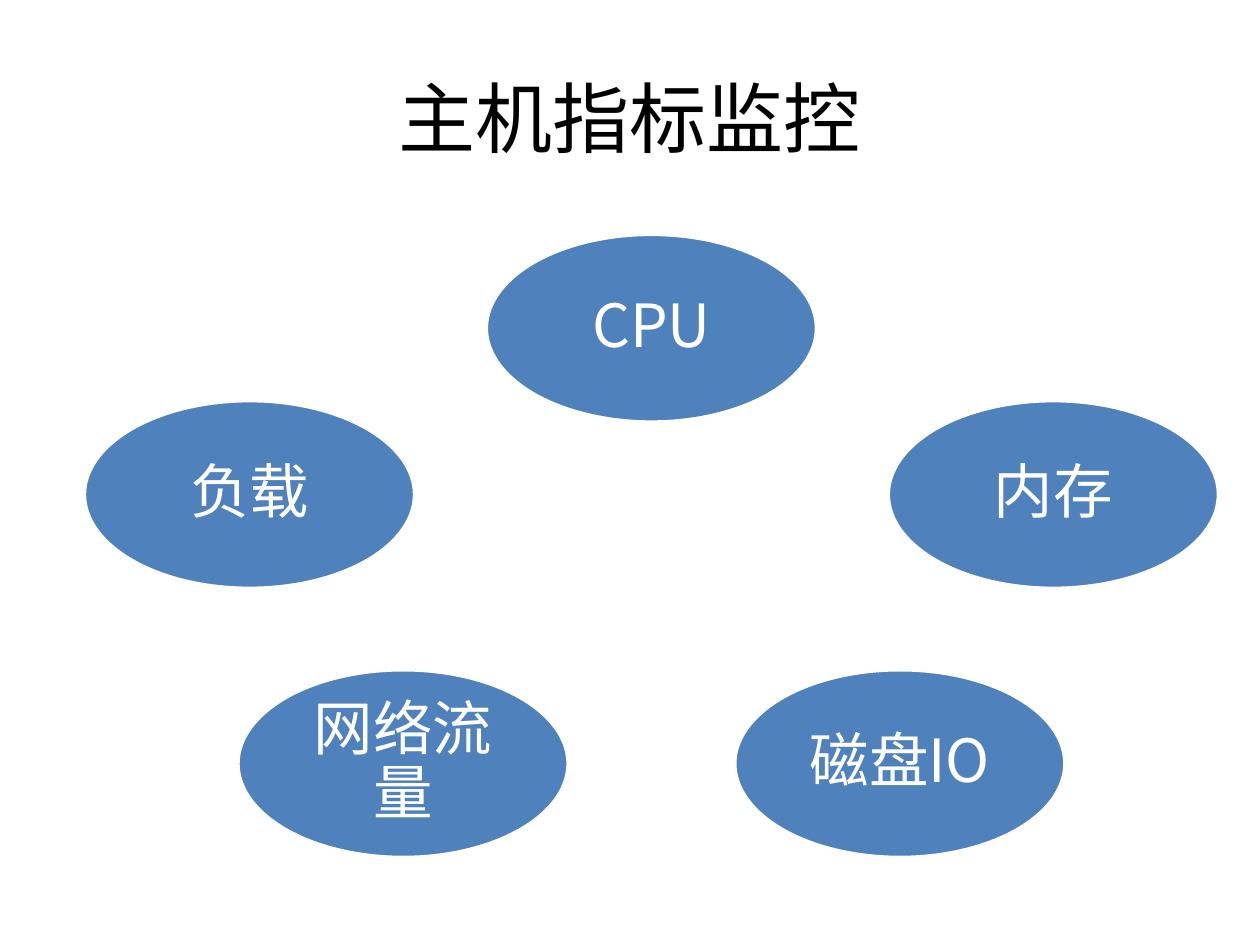
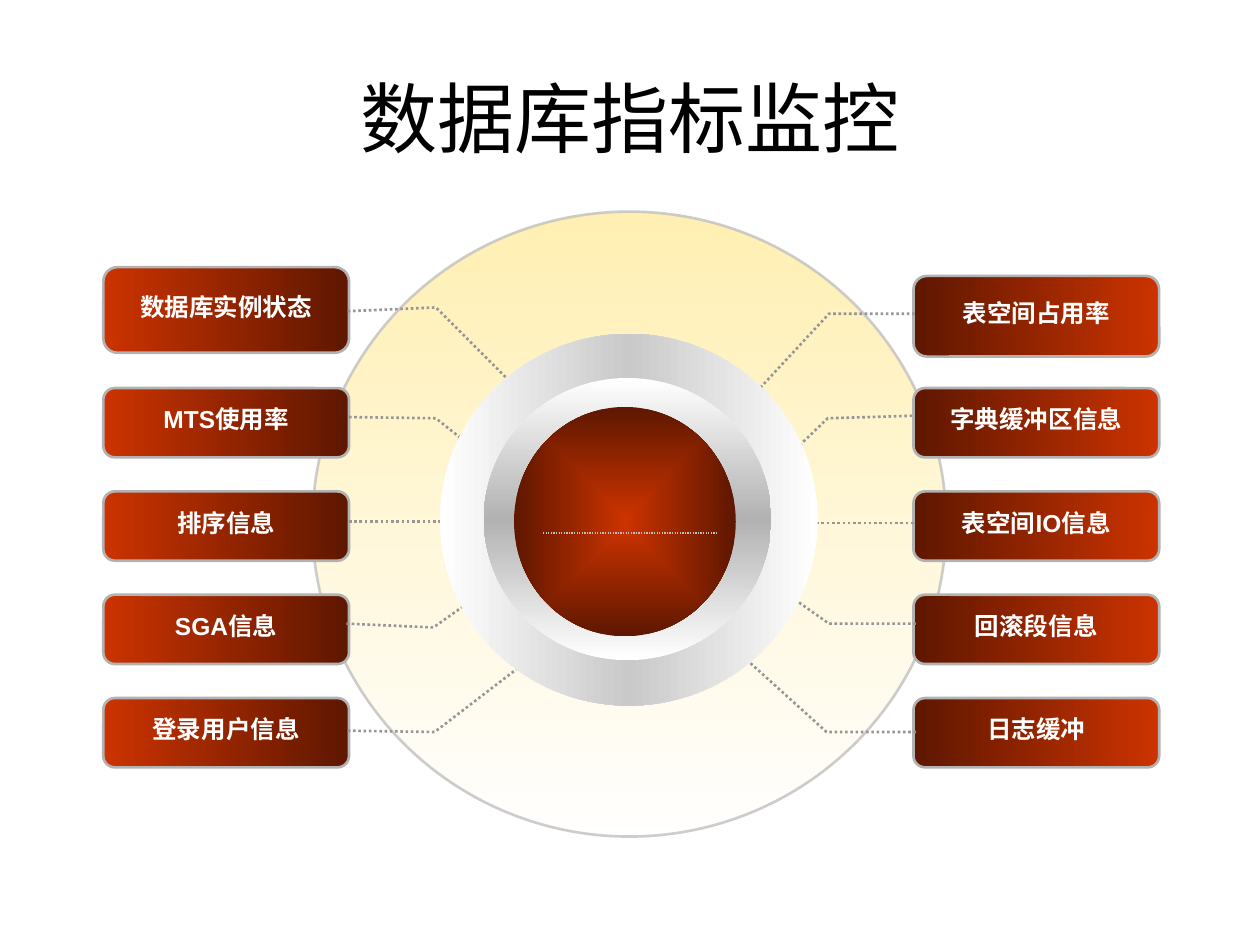
from math import cos, pi, sin

from lxml.etree import SubElement
from pptx import Presentation
from pptx.dml.color import RGBColor
from pptx.enum.dml import MSO_LINE
from pptx.enum.shapes import MSO_CONNECTOR, MSO_SHAPE
from pptx.enum.text import MSO_ANCHOR, PP_ALIGN
from pptx.oxml.ns import qn
from pptx.oxml.xmlchemy import OxmlElement
from pptx.util import Inches, Pt

BLACK = RGBColor(0x00, 0x00, 0x00)
WHITE = RGBColor(0xFF, 0xFF, 0xFF)
BLUE = RGBColor(0x4F, 0x81, 0xBD)
YELLOW = RGBColor(0xFF, 0xCC, 0x00)
RED = RGBColor(0xCC, 0x33, 0x00)
DARK_RED = RGBColor(0x5E, 0x17, 0x00)
SILVER = RGBColor(0xC0, 0xC0, 0xC0)
PALE_GRAY = RGBColor(0xC9, 0xC9, 0xC9)
MID_GRAY = RGBColor(0xB2, 0xB2, 0xB2)
LEADER_GRAY = RGBColor(0x96, 0x96, 0x96)
LATIN, CJK = "Arial", "Noto Sans CJK SC"

HOST_TITLE = "主机指标监控"
HOST_METRICS = ["CPU", "内存", "磁盘IO", "网络流量", "负载"]
RING_CENTER, RING_RADII = (5.17, 4.515), (3.354, 1.91)
OVAL_W, OVAL_H = 2.62, 1.49

DB_TITLE = "数据库指标监控"
BOX_W, BOX_H = 1.95, 0.55
SECOND_ROW, ROW_STEP = 3.08, 0.82
# Each metric comes with the points of its leader line.
DB_SIDES = [
    {"left": 0.82, "first": (2.12, 0.68), "stops": (DARK_RED, RED), "metrics": [
        ("数据库实例状态", [(2.76, 2.47), (3.46, 2.44), (4.37, 3.35)]),
        ("MTS使用率", [(2.77, 3.31), (3.46, 3.32), (4.1, 3.83)]),
        ("排序信息", [(2.77, 4.14), (4.04, 4.14)]),
        ("SGA信息", [(2.75, 4.95), (3.44, 4.98), (4.09, 4.52)]),
        ("登录用户信息", [(2.76, 5.8), (3.45, 5.81), (4.44, 5.05)]),
    ]},
    {"left": 7.25, "first": (2.19, 0.64), "stops": (RED, DARK_RED), "metrics": [
        ("表空间占用率", [(7.26, 2.49), (6.58, 2.49), (5.8, 3.33)]),
        ("字典缓冲区信息", [(7.24, 3.3), (6.57, 3.32), (6.08, 3.79)]),
        ("表空间IO信息", [(7.25, 4.15), (6.12, 4.15)]),
        ("回滚段信息", [(7.27, 4.95), (6.58, 4.95), (6.07, 4.59)]),
        ("日志缓冲", [(7.27, 5.81), (6.56, 5.81), (5.72, 5.05)]),
    ]},
]


def add_alpha(color_element, percent):
    SubElement(color_element, qn("a:alpha"), val=str(percent * 1000))


def set_gradient(s, colors, angle=None, alpha=None):
    """Fill with evenly spaced stops; without an angle they spread from the centre."""
    s.fill.background()
    grad = OxmlElement("a:gradFill")
    grad.set("rotWithShape", "1")
    stops = SubElement(grad, qn("a:gsLst"))
    for i, color in enumerate(colors):
        stop = SubElement(stops, qn("a:gs"), pos=str(100000 * i // (len(colors) - 1)))
        clr = SubElement(stop, qn("a:srgbClr"), val=str(color))
        if alpha is not None:
            add_alpha(clr, alpha)
    if angle is None:
        spread = SubElement(grad, qn("a:path"), path="rect")
        SubElement(spread, qn("a:fillToRect"),
                   {side: "50000" for side in "ltrb"})
    else:
        SubElement(grad, qn("a:lin"), ang=str(angle * 60000), scaled="0")
    sp_pr = s._element.spPr
    sp_pr.replace(sp_pr.find(qn("a:noFill")), grad)


def set_line(s, color, width, dash=None):
    s.line.color.rgb = color
    s.line.width = Pt(width)
    if dash:
        s.line.dash_style = dash


def set_text(s, text, size, color, font=LATIN, bold=False, inset=0.1):
    tf = s.text_frame
    tf.text = text
    tf.vertical_anchor = MSO_ANCHOR.MIDDLE
    tf.margin_left = tf.margin_right = Inches(inset)
    tf.margin_top = tf.margin_bottom = Inches(0.05)
    p = tf.paragraphs[0]
    p.alignment = PP_ALIGN.CENTER
    r = p.runs[0]
    r.font.size = Pt(size)
    r.font.bold = bold
    r.font.color.rgb = color
    r.font.name = font
    SubElement(r._r.get_or_add_rPr(), qn("a:ea"), typeface=CJK)
    return p


def add_shape(slide, kind, left, top, width, height):
    s = slide.shapes.add_shape(kind, Inches(left), Inches(top),
                               Inches(width), Inches(height))
    s.shadow.inherit = False
    s.line.fill.background()
    return s


def add_dotted(slide, points, color=LEADER_GRAY, width=1.5):
    """Draw a straight connector for two points, an open outline for more."""
    pts = [(Inches(x), Inches(y)) for x, y in points]
    if len(pts) == 2:
        s = slide.shapes.add_connector(MSO_CONNECTOR.STRAIGHT, *pts[0], *pts[1])
        set_line(s, color, width, MSO_LINE.ROUND_DOT)
        SubElement(s._element.spPr, qn("a:effectLst"))
        return
    outline = slide.shapes.build_freeform(*pts[0])
    outline.add_line_segments(pts[1:], close=False)
    s = outline.convert_to_shape()
    s.shadow.inherit = False
    s.fill.background()
    set_line(s, color, width, MSO_LINE.ROUND_DOT)


def add_titled_slide(prs, text):
    slide = prs.slides.add_slide(prs.slide_layouts[5])
    title = slide.shapes.title
    title.left, title.top = Inches(0.5), Inches(0.3)
    title.width, title.height = Inches(9), Inches(1.25)
    set_text(title, text, 44, BLACK)
    return slide


def build_host_slide(prs):
    slide = add_titled_slide(prs, HOST_TITLE)
    (cx, cy), (rx, ry) = RING_CENTER, RING_RADII
    for i, metric in enumerate(HOST_METRICS):
        angle = 2 * pi * i / len(HOST_METRICS)
        x, y = cx + rx * sin(angle), cy - ry * cos(angle)
        s = add_shape(slide, MSO_SHAPE.OVAL, x - OVAL_W / 2, y - OVAL_H / 2,
                      OVAL_W, OVAL_H)
        s.fill.solid()
        s.fill.fore_color.rgb = BLUE
        set_line(s, WHITE, 2)
        p = set_text(s, metric, 34, WHITE, CJK, inset=0.05)
        s.text_frame.word_wrap = True
        p.line_spacing = 0.9
        p.space_after = Pt(14.9)


def add_metric_box(slide, text, left, top, height, stops):
    s = add_shape(slide, MSO_SHAPE.ROUNDED_RECTANGLE, left, top, BOX_W, height)
    set_gradient(s, stops, 180)
    set_line(s, MID_GRAY, 1.5)
    p = set_text(s, text, 14, WHITE, bold=True)
    s.text_frame.word_wrap = False
    p.line_spacing = 0.7


def add_hub(slide):
    for box, hole, gray, angle in [((3.49, 2.65, 3, 2.95), 0.25, PALE_GRAY, 180),
                                   ((3.84, 3, 2.28, 2.24), 0.205, MID_GRAY, 90)]:
        ring = add_shape(slide, MSO_SHAPE.DONUT, *box)
        ring.adjustments[0] = hole
        set_gradient(ring, (WHITE, gray, WHITE), angle)
    core = add_shape(slide, MSO_SHAPE.OVAL, 4.08, 3.23, 1.76, 1.82)
    set_gradient(core, (RED, DARK_RED))
    add_dotted(slide, [(4.31, 4.23), (5.69, 4.23)], SILVER, 0.75)


def build_database_slide(prs):
    slide = add_titled_slide(prs, DB_TITLE)
    disc = add_shape(slide, MSO_SHAPE.OVAL, 2.48, 1.68, 5.03, 4.96)
    set_gradient(disc, (YELLOW, WHITE), 90, alpha=30)
    set_line(disc, SILVER, 1.5)
    add_alpha(disc.line._ln.find(".//" + qn("a:srgbClr")), 79)

    for side in DB_SIDES:
        rows = [side["first"]]
        rows += [(SECOND_ROW + i * ROW_STEP, BOX_H)
                 for i in range(len(side["metrics"]) - 1)]
        for (text, _), (top, height) in zip(side["metrics"], rows):
            add_metric_box(slide, text, side["left"], top, height, side["stops"])
    for side in DB_SIDES:
        for _, leader in side["metrics"]:
            add_dotted(slide, leader)
    add_hub(slide)


def main():
    prs = Presentation()
    prs.slide_width, prs.slide_height = Inches(10), Inches(7.5)
    build_host_slide(prs)
    build_database_slide(prs)
    prs.save("out.pptx")


if __name__ == "__main__":
    main()
